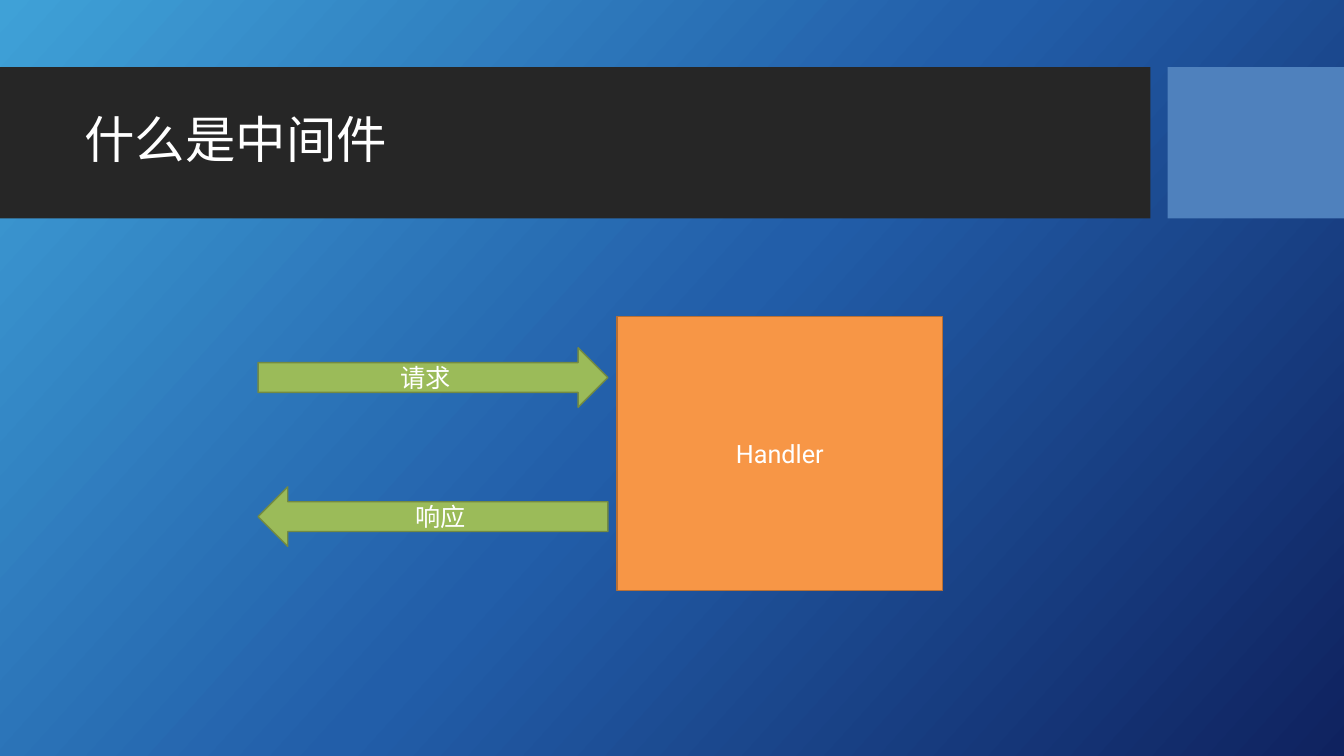
"""Build the slide that explains middleware with a request, a response and a handler."""
from copy import deepcopy
from dataclasses import dataclass
from typing import Any, Optional

from pptx import Presentation
from pptx.dml.color import RGBColor
from pptx.enum.shapes import MSO_SHAPE as SHAPE
from pptx.enum.text import MSO_ANCHOR as ANCHOR, PP_ALIGN as ALIGN
from pptx.oxml.ns import qn
from pptx.util import Inches, Pt

WIDTH, HEIGHT = Inches(13.33), Inches(7.5)
FONT = "Roboto"
WHITE = RGBColor(0xFF, 0xFF, 0xFF)
CHARCOAL = RGBColor(0x26, 0x26, 0x26)
STEEL = RGBColor(0x4F, 0x81, 0xBD)
ORANGE = RGBColor(0xF7, 0x96, 0x46)
BROWN = RGBColor(0xB7, 0x6F, 0x34)
GREEN = RGBColor(0x9B, 0xBB, 0x59)
OLIVE = RGBColor(0x73, 0x8A, 0x42)
SKY = RGBColor(0x3F, 0xA1, 0xD7)
BLUE = RGBColor(0x22, 0x5E, 0xA9)
NAVY = RGBColor(0x0F, 0x22, 0x5F)
GRADIENT = {0: SKY, 0.5: BLUE, 1: NAVY}
GRADIENT_ANGLE = 360 - 42


@dataclass(frozen=True)
class Area:
    """A rectangle in percent of the slide's width and height."""
    x: float
    y: float
    w: float
    h: float

    def emu(self) -> tuple[int, int, int, int]:
        return (int(WIDTH * self.x / 100), int(HEIGHT * self.y / 100),
                int(WIDTH * self.w / 100), int(HEIGHT * self.h / 100))


@dataclass(frozen=True)
class Block:
    """A filled shape with an optional outline and label."""
    kind: SHAPE
    area: Area
    fill: RGBColor
    line: Optional[RGBColor] = None
    label: str = ""


BAND_Y, BAND_H = 8.9, 20
ARROW_X, ARROW_W, ARROW_H = 19.2, 26.03, 7.87
TITLE, TITLE_AREA = "什么是中间件", Area(5.55, 10.93, 78.84, 15.73)
BLOCKS = (
    Block(SHAPE.RECTANGLE, Area(0, BAND_Y, 85.6, BAND_H), CHARCOAL),
    Block(SHAPE.RECTANGLE, Area(86.87, BAND_Y, 13.13, BAND_H), STEEL),
    Block(SHAPE.RECTANGLE, Area(45.91, 41.87, 24.23, 36.27), ORANGE, BROWN, "Handler"),
    Block(SHAPE.RIGHT_ARROW, Area(ARROW_X, 46, ARROW_W, ARROW_H), GREEN, OLIVE, "请求"),
    Block(SHAPE.LEFT_ARROW, Area(ARROW_X, 64.4, ARROW_W, ARROW_H), GREEN, OLIVE, "响应"),
)


def apply(target: Any, values: dict[str, Any]) -> None:
    """Set each named attribute on the target."""
    for name, value in values.items():
        setattr(target, name, value)


def write(sp: Any, text: str, size: int, paragraph: dict[str, Any]) -> None:
    """Put one vertically centred line of white text in the shape."""
    tf = sp.text_frame
    apply(tf, {"word_wrap": True, "vertical_anchor": ANCHOR.MIDDLE})
    p = tf.paragraphs[0]
    apply(p, paragraph)
    r = p.add_run()
    r.text = text
    apply(r.font, {"name": FONT, "size": Pt(size)})
    r.font.color.rgb = WHITE


def paint_background(s: Any) -> None:
    """Fill the background with the diagonal gradient."""
    fill = s.background.fill
    fill.gradient()
    fill.gradient_angle = GRADIENT_ANGLE
    first = s.element.find(".//" + qn("a:gs"))
    first.addnext(deepcopy(first))
    for stop, (position, color) in zip(fill.gradient_stops, GRADIENT.items()):
        stop.position = position
        stop.color.rgb = color


def draw_block(s: Any, block: Block) -> None:
    """Draw one block with its label."""
    sp = s.shapes.add_shape(block.kind, *block.area.emu())
    sp.shadow.inherit = False
    sp.fill.solid()
    sp.fill.fore_color.rgb = block.fill
    if block.line:
        sp.line.color.rgb = block.line
        sp.line.width = Pt(1)
    else:
        sp.line.fill.background()
    if block.label:
        write(sp, block.label, 18, {"alignment": ALIGN.CENTER})


def main() -> None:
    """Build and save the presentation."""
    prs = Presentation()
    apply(prs, {"slide_width": WIDTH, "slide_height": HEIGHT})
    s = prs.slides.add_slide(prs.slide_layouts[6])
    paint_background(s)
    for block in BLOCKS:
        draw_block(s, block)
    write(s.shapes.add_textbox(*TITLE_AREA.emu()), TITLE, 36, {"line_spacing": 0.9})
    prs.save("out.pptx")


if __name__ == "__main__":
    main()
